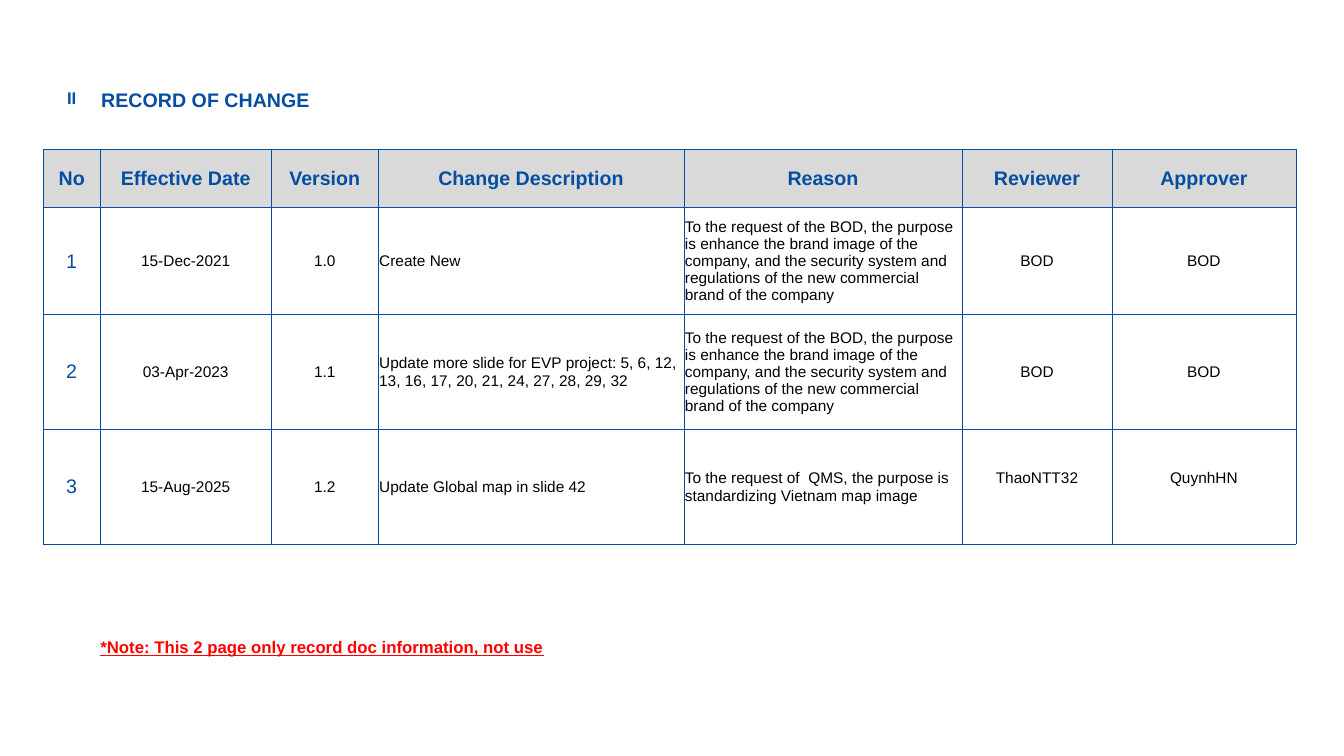
"""Build the record-of-change slide."""
from dataclasses import dataclass

import lxml.etree
import pptx
import pptx.dml.color
import pptx.enum.text
import pptx.oxml.ns
import pptx.util

Pt = pptx.util.Pt
CENTER = pptx.enum.text.PP_ALIGN.CENTER
LEFT = pptx.enum.text.PP_ALIGN.LEFT
TOP = pptx.enum.text.MSO_ANCHOR.TOP
MIDDLE = pptx.enum.text.MSO_ANCHOR.MIDDLE


@dataclass(frozen=True)
class Theme:
    """Colours, font and type sizes."""
    font: str = "Arial"
    blue: str = "034EA2"
    grey: str = "D9D9D9"
    white: str = "FFFFFF"
    black: str = "000000"
    red: str = "FF0000"
    heading: float = 14
    label: float = 12
    body: float = 11
    empty: float = 6
    border: float = 0.5


THEME = Theme()
COLUMN_WIDTHS = (40.8, 122.2, 76.4, 218.4, 198.6, 107.2, 131.3)
ROW_HEIGHTS = (28.3, 28.9, 14.5, 41.6, 76.4, 82.1, 82.1)
HEADER_ROW = 3
REASON = ("To the request of the BOD, the purpose is enhance the brand image of "
          "the company, and the security system and regulations of the new "
          "commercial brand of the company")
HEADERS = ("No", "Effective Date", "Version", "Change Description", "Reason",
           "Reviewer", "Approver")
CHANGES = (
    ("1", "15-Dec-2021", "1.0", "Create New", REASON, "BOD", "BOD"),
    ("2", "03-Apr-2023", "1.1",
     "Update more slide for EVP project: 5, 6, 12, 13, 16, 17, 20, 21, 24, 27, 28, 29, 32",
     REASON, "BOD", "BOD"),
    ("3", "15-Aug-2025", "1.2", "Update Global map in slide 42",
     "To the request of  QMS, the purpose is standardizing Vietnam map image",
     "ThaoNTT32", "QuynhHN"),
)


def rgb(color):
    """Return a colour object for a hex string."""
    return pptx.dml.color.RGBColor.from_string(color)


def write(paragraph, text, size, color, bold=False, alignment=LEFT):
    """Write and format one paragraph."""
    paragraph.text = text
    paragraph.alignment = alignment
    font = paragraph.font
    font.name, font.size, font.bold = THEME.font, Pt(size), bold
    font.color.rgb = rgb(color)


def set_borders(cell, visible_sides):
    """Draw the named sides of a cell and hide the others."""
    properties = cell._tc.get_or_add_tcPr()
    qn = pptx.oxml.ns.qn
    for side in "LRTB":
        line = lxml.etree.SubElement(properties, qn(f"a:ln{side}"), w=str(Pt(THEME.border)))
        if side in visible_sides:
            fill = lxml.etree.SubElement(line, qn("a:solidFill"))
            lxml.etree.SubElement(fill, qn("a:srgbClr"), val=THEME.blue)
        else:
            lxml.etree.SubElement(line, qn("a:noFill"))


def style_cell(cell, fill, visible_sides, anchor):
    """Set the borders, fill, margins and anchor of a cell."""
    set_borders(cell, visible_sides)
    cell.fill.solid()
    cell.fill.fore_color.rgb = rgb(fill)
    cell.margin_left = cell.margin_right = cell.margin_top = Pt(0.7)
    cell.margin_bottom = Pt(0)
    cell.vertical_anchor = anchor
    cell.text_frame.paragraphs[0]._p.get_or_add_endParaRPr().set("sz", str(THEME.empty * 100))


def add_grid(slide):
    """Add the empty table with its sizes and cell styles."""
    frame = slide.shapes.add_table(
        len(ROW_HEIGHTS), len(COLUMN_WIDTHS), Pt(30.8), Pt(34.8),
        Pt(sum(COLUMN_WIDTHS)), Pt(sum(ROW_HEIGHTS)))
    table = frame.table
    table.first_row = table.horz_banding = False
    for column, width in zip(table.columns, COLUMN_WIDTHS):
        column.width = Pt(width)
    for index, (row, height) in enumerate(zip(table.rows, ROW_HEIGHTS)):
        row.height = Pt(height)
        framed = index >= HEADER_ROW
        sides = "LRTB" if framed else "B" if index == HEADER_ROW - 1 else ""
        fill = THEME.grey if index == HEADER_ROW else THEME.white
        for cell in row.cells:
            style_cell(cell, fill, sides, MIDDLE if framed else TOP)
    return table


def fill_heading(table):
    """Write the section number and heading above the header row."""
    table.cell(1, 1).merge(table.cell(1, 2))
    write(table.cell(1, 0).text_frame.paragraphs[0], "II", THEME.label, THEME.blue, True, CENTER)
    write(table.cell(1, 1).text_frame.paragraphs[0], "RECORD OF CHANGE",
          THEME.heading, THEME.blue, True)


def fill_records(table):
    """Write the header row and the change records."""
    for column, text in enumerate(HEADERS):
        write(table.cell(HEADER_ROW, column).text_frame.paragraphs[0], text,
              THEME.heading, THEME.blue, True, CENTER)
    for row, change in enumerate(CHANGES, HEADER_ROW + 1):
        for column, text in enumerate(change):
            size, color = (THEME.body, THEME.black) if column else (THEME.heading, THEME.blue)
            alignment = LEFT if HEADERS[column] in ("Change Description", "Reason") else CENTER
            write(table.cell(row, column).text_frame.paragraphs[0], text, size, color,
                  alignment=alignment)
    for column in (HEADERS.index("Reviewer"), HEADERS.index("Approver")):
        table.cell(len(ROW_HEIGHTS) - 1, column).margin_bottom = Pt(12.7)


def add_note(slide):
    """Add the underlined note below the table."""
    box = slide.shapes.add_textbox(Pt(64.6), Pt(451.5), Pt(700.6), Pt(44))
    box.text_frame.word_wrap = True
    paragraph = box.text_frame.paragraphs[0]
    write(paragraph, "*Note: This 2 page only record doc information, not use",
          THEME.label, THEME.red, True)
    paragraph.font.underline = True


def main():
    """Build and save the presentation."""
    presentation = pptx.Presentation()
    presentation.slide_width, presentation.slide_height = Pt(960), Pt(540)
    slide = presentation.slides.add_slide(presentation.slide_layouts.get_by_name("Blank"))
    table = add_grid(slide)
    fill_heading(table)
    fill_records(table)
    add_note(slide)
    presentation.save("out.pptx")


if __name__ == "__main__":
    main()
